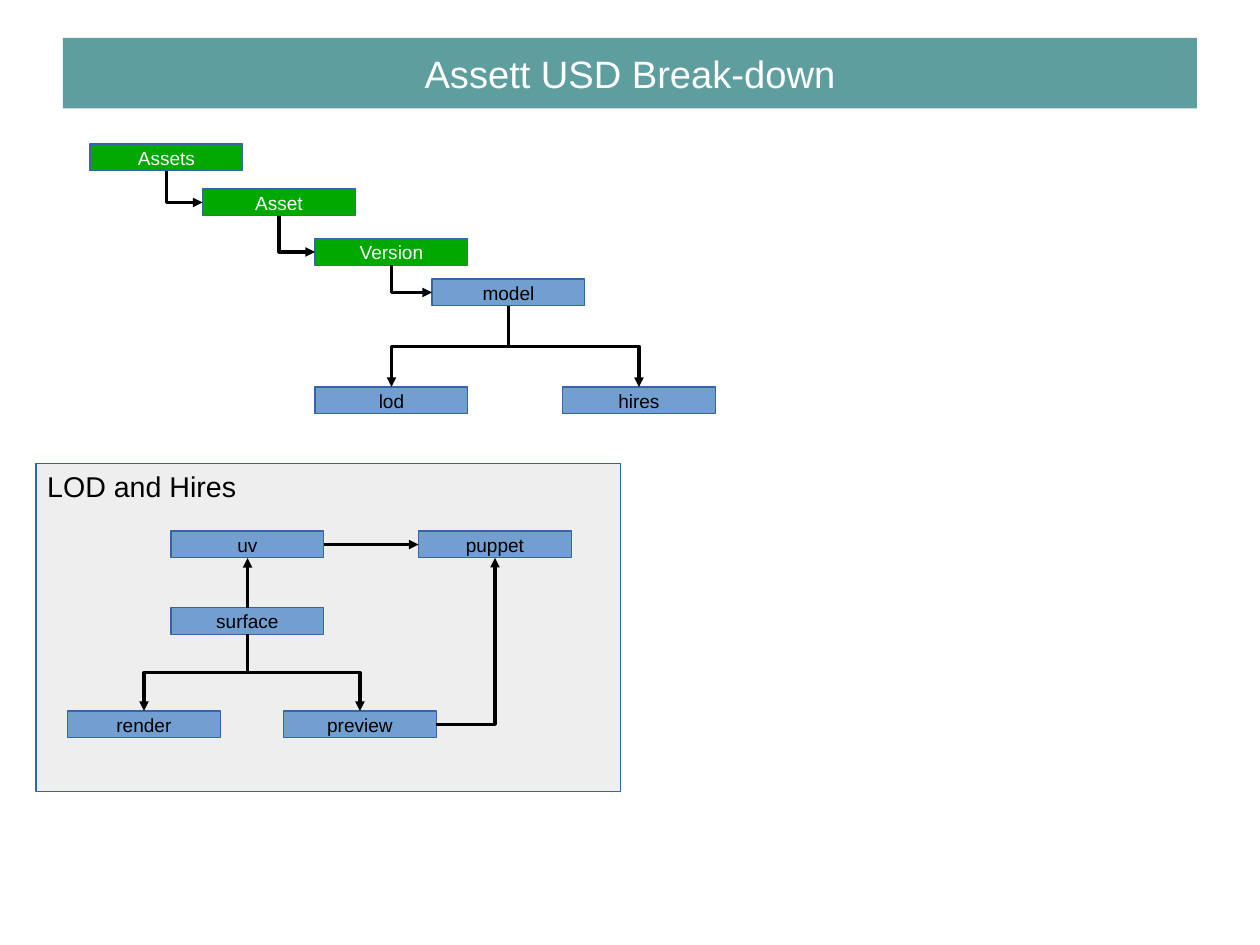
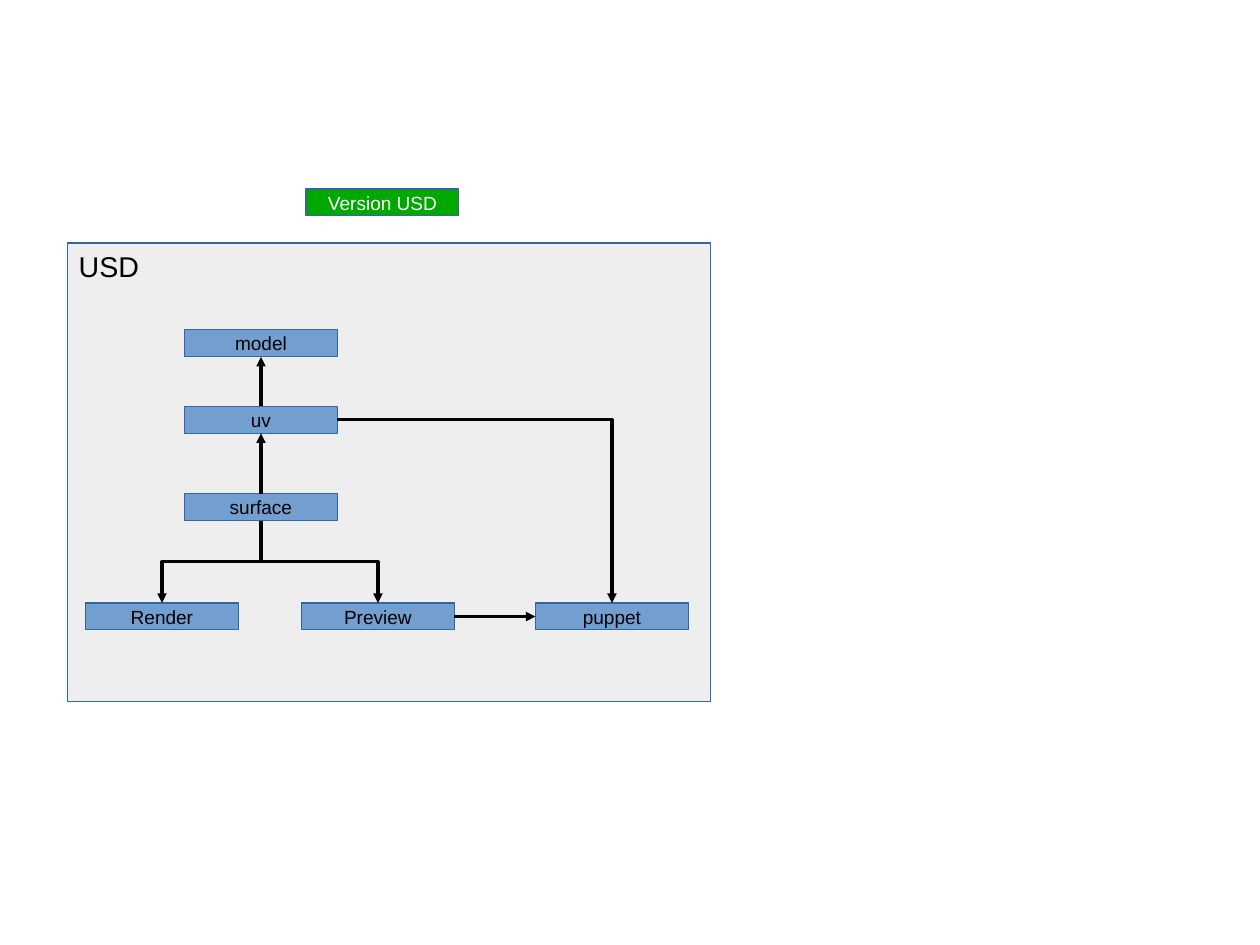
from pptx import Presentation
from pptx.dml.color import RGBColor
from pptx.enum.shapes import MSO_CONNECTOR, MSO_SHAPE
from pptx.enum.text import MSO_ANCHOR, PP_ALIGN
from pptx.oxml.ns import qn
from pptx.oxml.xmlchemy import OxmlElement
from pptx.util import Cm, Pt

# Shared style
FONT = "Arial"
BLACK, WHITE = "000000", "FFFFFF"
TEAL, GREEN, BLUE = "5F9E9F", "00A800", "729FCF"
GREY, OUTLINE = "EEEEEE", "3465A4"
NODE_WIDTH, NODE_HEIGHT = 3.4, 0.6
SITES = {"top": 0, "left": 1, "bottom": 2, "right": 3}
VERTICAL = ("top", "bottom")


def color(value):
    return RGBColor.from_string(value)


def write(shape, text, size=12, ink=BLACK, align=PP_ALIGN.CENTER,
          anchor=MSO_ANCHOR.MIDDLE):
    frame = shape.text_frame
    frame.word_wrap = True
    frame.vertical_anchor = anchor
    para = frame.paragraphs[0]
    para.alignment = align
    span = para.add_run()
    span.text = text
    span.font.name = FONT
    span.font.size = Pt(size)
    span.font.color.rgb = color(ink)


def add_box(page, left, top, width, height, fill, outline=OUTLINE):
    box = page.shapes.add_shape(MSO_SHAPE.RECTANGLE, Cm(left), Cm(top),
                                Cm(width), Cm(height))
    box.shadow.inherit = False
    box.fill.solid()
    box.fill.fore_color.rgb = color(fill)
    if outline:
        box.line.color.rgb = color(outline)
        box.line.width = Pt(0)
    else:
        box.line.fill.background()
    return box


def add_node(page, left, top, text, fill=BLUE):
    node = add_box(page, left, top, NODE_WIDTH, NODE_HEIGHT, fill)
    write(node, text, ink=WHITE if fill == GREEN else BLACK)
    return node


def bend(arrow, leaves_vertically, turns_once):
    """Shape an elbow that leaves downwards or to the right."""
    start_x, start_y = arrow.begin_x, arrow.begin_y
    across, down = arrow.end_x - start_x, arrow.end_y - start_y
    width, height = abs(across), abs(down)
    middle_x, middle_y = start_x + across // 2, start_y + down // 2
    rotation, flip_h, flip_v = 0, False, down < 0
    if leaves_vertically:
        width, height = height, width
        flip_h, flip_v = across > 0, False
        rotation = 270 if flip_h else 90
    arrow.left, arrow.top = middle_x - width // 2, middle_y - height // 2
    arrow.width, arrow.height = width, height
    properties = arrow.element.spPr
    transform = properties.find(qn("a:xfrm"))
    transform.set("rot", str(rotation * 60000))
    transform.set("flipH", str(int(flip_h)))
    transform.set("flipV", str(int(flip_v)))
    if turns_once:
        properties.find(qn("a:prstGeom")).set("prst", "bentConnector2")


def add_arrow(page, source, source_side, target, target_side):
    leaves_vertically = source_side in VERTICAL
    turns_once = leaves_vertically != (target_side in VERTICAL)
    arrow = page.shapes.add_connector(MSO_CONNECTOR.ELBOW, 0, 0, 0, 0)
    arrow.begin_connect(source, SITES[source_side])
    arrow.end_connect(target, SITES[target_side])
    if arrow.width and arrow.height:
        bend(arrow, leaves_vertically, turns_once)
    else:
        arrow.element.spPr.find(qn("a:prstGeom")).set("prst", "straightConnector1")
    arrow.line.color.rgb = color(BLACK)
    arrow.line.width = Pt(0)
    head = OxmlElement("a:tailEnd")
    head.set("type", "triangle")
    arrow.line._get_or_add_ln().append(head)
    arrow.element.spPr.append(OxmlElement("a:effectLst"))


def add_flow(page, left, top, nodes, links):
    """Place (text, x, y[, fill]) nodes from a corner, then link them by text."""
    placed = {text: add_node(page, left + x, top + y, text, *fill)
              for text, x, y, *fill in nodes}
    for source, source_side, target, target_side in links:
        add_arrow(page, placed[source], source_side, placed[target], target_side)


def add_panel(page, left, top, width, height, title, nodes, links):
    panel = add_box(page, left, top, width, height, GREY)
    write(panel, title, size=18, align=PP_ALIGN.LEFT, anchor=MSO_ANCHOR.TOP)
    add_flow(page, left, top, nodes, links)


def add_title(page, text):
    band = add_box(page, 1.4, 0.84, 25.2, 1.57, TEAL, outline=None)
    frame = band.text_frame
    frame.margin_left = frame.margin_right = 0
    frame.margin_top = frame.margin_bottom = 0
    write(band, text, size=24, ink=WHITE)


def build_breakdown(page):
    add_title(page, "Assett USD Break-down")
    # Asset hierarchy
    add_flow(page, 2, 3.2, [
        ("Assets", 0, 0, GREEN),
        ("Asset", 2.5, 1, GREEN),
        ("Version", 5, 2.1, GREEN),
        ("model", 7.6, 3),
        ("lod", 5, 5.4),
        ("hires", 10.5, 5.4),
    ], [
        ("Assets", "bottom", "Asset", "left"),
        ("Asset", "bottom", "Version", "left"),
        ("Version", "bottom", "model", "left"),
        ("model", "bottom", "lod", "top"),
        ("model", "bottom", "hires", "top"),
    ])
    # Steps shared by both levels of detail
    add_panel(page, 0.8, 10.3, 13, 7.3, "LOD and Hires", [
        ("uv", 3, 1.5),
        ("puppet", 8.5, 1.5),
        ("surface", 3, 3.2),
        ("render", 0.7, 5.5),
        ("preview", 5.5, 5.5),
    ], [
        ("uv", "right", "puppet", "left"),
        ("surface", "top", "uv", "bottom"),
        ("surface", "bottom", "render", "top"),
        ("surface", "bottom", "preview", "top"),
        ("preview", "right", "puppet", "bottom"),
    ])


def build_version(page):
    add_node(page, 6.8, 4.2, "Version USD", GREEN)
    add_panel(page, 1.5, 5.4, 14.3, 10.2, "USD", [
        ("model", 2.6, 1.93),
        ("uv", 2.6, 3.63),
        ("surface", 2.6, 5.57),
        ("Render", 0.4, 8),
        ("Preview", 5.2, 8),
        ("puppet", 10.4, 8),
    ], [
        ("uv", "top", "model", "bottom"),
        ("surface", "top", "uv", "bottom"),
        ("surface", "bottom", "Render", "top"),
        ("surface", "bottom", "Preview", "top"),
        ("Preview", "right", "puppet", "left"),
        ("uv", "right", "puppet", "top"),
    ])


def main():
    deck = Presentation()
    deck.slide_width, deck.slide_height = Cm(28), Cm(21)
    blank = deck.slide_layouts[6]
    for build in (build_breakdown, build_version):
        build(deck.slides.add_slide(blank))
    deck.save("out.pptx")


if __name__ == "__main__":
    main()
